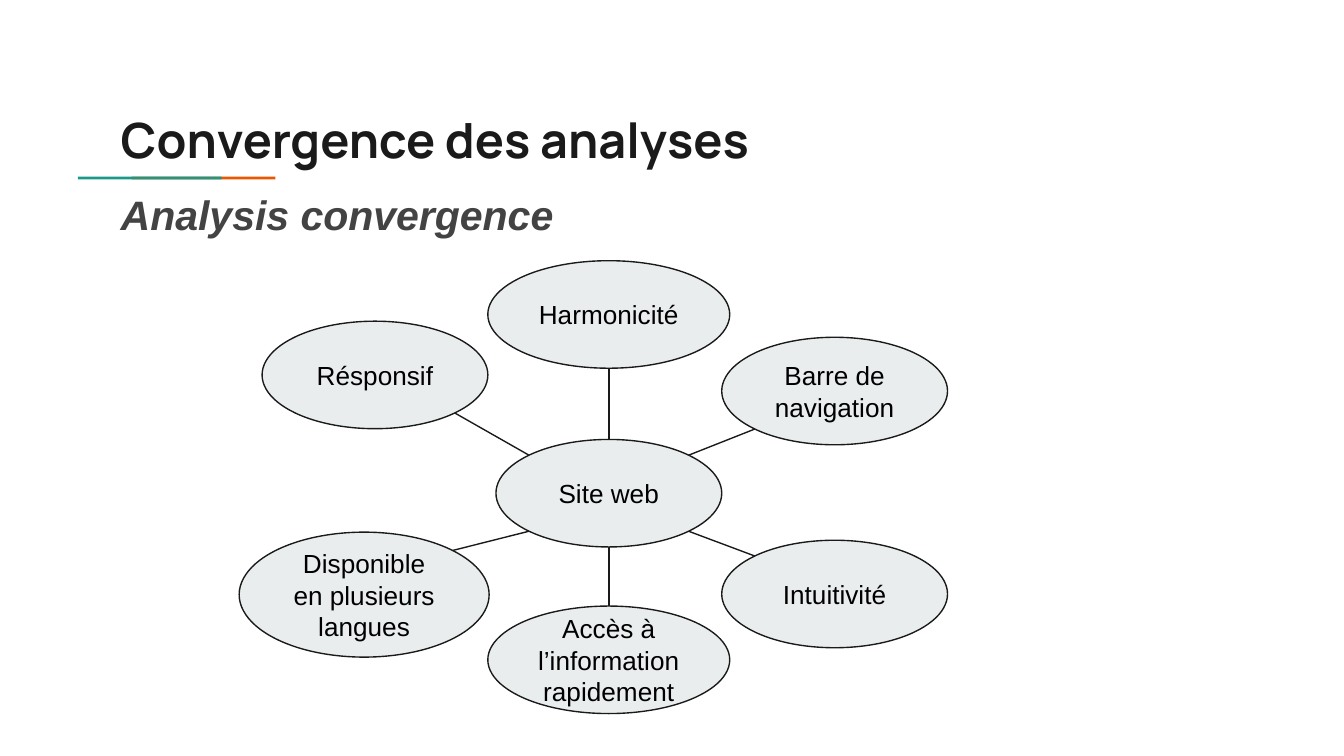
from math import cos, radians, sin

from lxml.etree import SubElement
from pptx import Presentation
from pptx.dml.color import RGBColor
from pptx.enum.shapes import MSO_CONNECTOR as Connector, MSO_SHAPE as Shape
from pptx.enum.text import MSO_ANCHOR as Anchor, PP_ALIGN as Align
from pptx.oxml.ns import qn
from pptx.util import Inches, Pt

INK = RGBColor(0x1A, 0x1A, 0x1A)
GREY = RGBColor(0x43, 0x43, 0x43)
BLACK = RGBColor(0x00, 0x00, 0x00)
BUBBLE = RGBColor(0xE9, 0xED, 0xEE)
TEAL = RGBColor(0x1A, 0x99, 0x88)
ORANGE = RGBColor(0xEB, 0x56, 0x00)

# The slide is a grid of square cells
COLUMNS, ROWS = 100, 56.25
CELL = Inches(0.1)

# Text, centre column, centre row, columns wide, rows high
HUB = ("Site web", 45.3, 36.7, 16.8, 8)
# The same, then the angles (clockwise from the right) at which the link
# leaves the hub and reaches the topic
TOPICS = [
    ("Résponsif", 27.9, 27.9, 16.8, 8, 225, 45),
    ("Disponible en plusieurs langues", 27.1, 44.25, 18.6, 9.3, 135, -45),
    ("Barre de navigation", 62.1, 29.1, 16.8, 8, -45, 135),
    ("Intuitivité", 62.1, 44.2, 16.8, 8, 45, 225),
    ("Accès à l’information rapidement", 45.3, 49.1, 18, 8, 90, -90),
    ("Harmonicité", 45.3, 23.4, 18, 8, -90, 90),
]


def cells(*counts):
    return [round(count * CELL) for count in counts]


def write(shape, text, font_name, size, color, bold=False, italic=False):
    frame = shape.text_frame
    frame.word_wrap = True
    frame.margin_left = frame.margin_right = CELL
    frame.margin_top = frame.margin_bottom = CELL
    paragraph = frame.paragraphs[0]
    paragraph.text = text
    font = paragraph.font
    font.name, font.size = font_name, Pt(size)
    font.bold, font.italic = bold, italic
    font.color.rgb = color
    return frame


def add_heading(slide, top, height, text, *style, **emphasis):
    heading = slide.shapes.add_textbox(*cells(8, top, 84.1, height))
    write(heading, text, *style, **emphasis)


def add_bar(slide, left, color):
    bar = slide.shapes.add_shape(Shape.RECTANGLE, *cells(left, 13.15, 10.7, 0.2))
    bar.shadow.inherit = False
    bar.fill.solid()
    bar.fill.fore_color.rgb = color
    bar.line.fill.background()


def add_bubble(slide, text, column, row, width, height):
    bubble = slide.shapes.add_shape(
        Shape.OVAL, *cells(column - width / 2, row - height / 2, width, height))
    bubble.shadow.inherit = False
    bubble.fill.solid()
    bubble.fill.fore_color.rgb = BUBBLE
    bubble.line.color.rgb = INK
    bubble.line.width = Pt(0.75)
    frame = write(bubble, text, "Arial", 14, BLACK)
    frame.vertical_anchor = Anchor.MIDDLE
    frame.paragraphs[0].alignment = Align.CENTER
    return bubble


def rim_point(bubble, angle):
    """Point on the bubble's outline at the given parametric angle."""
    turn = radians(angle)
    return (round(bubble.left + bubble.width / 2 * (1 + cos(turn))),
            round(bubble.top + bubble.height / 2 * (1 + sin(turn))))


def add_link(slide, hub, hub_angle, topic, topic_angle):
    link = slide.shapes.add_connector(
        Connector.STRAIGHT, *rim_point(hub, hub_angle), *rim_point(topic, topic_angle))
    link.line.color.rgb = INK
    link.line.width = Pt(0.75)
    SubElement(link._element.spPr, qn("a:effectLst"))


def main():
    deck = Presentation()
    deck.slide_width, deck.slide_height = cells(COLUMNS, ROWS)
    slide = deck.slides.add_slide(deck.slide_layouts[6])

    add_bar(slide, 9.8, ORANGE)
    add_bar(slide, 5.8, TEAL)
    add_heading(slide, 7.2, 5.9, "Convergence des analyses",
                "Manrope", 26, INK, bold=True)
    add_heading(slide, 13.1, 4.7, "Analysis convergence",
                "Arial", 22, GREY, bold=True, italic=True)

    hub = add_bubble(slide, *HUB)
    for *bubble, hub_angle, topic_angle in TOPICS:
        topic = add_bubble(slide, *bubble)
        add_link(slide, hub, hub_angle, topic, topic_angle)

    deck.save("out.pptx")


if __name__ == "__main__":
    main()
